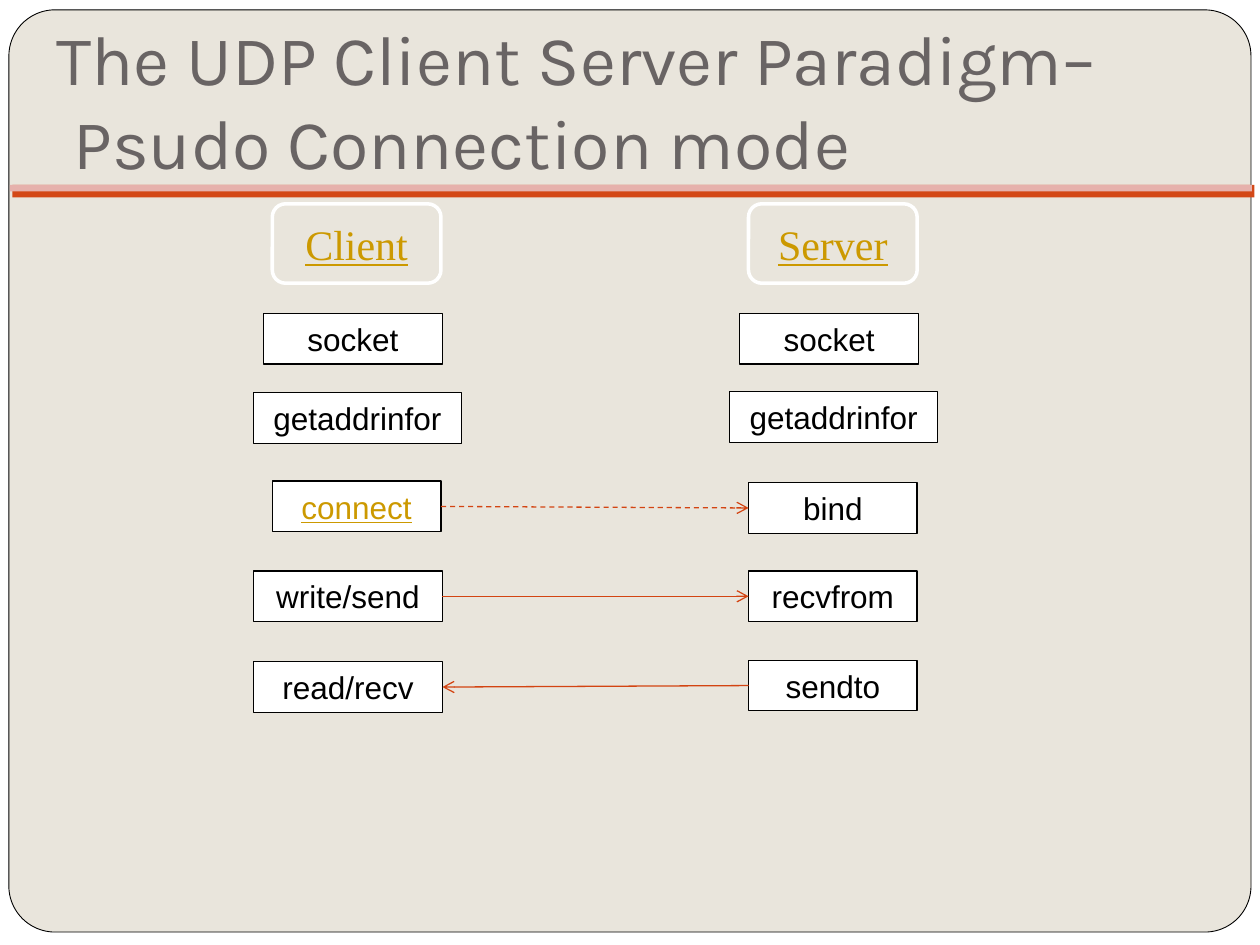
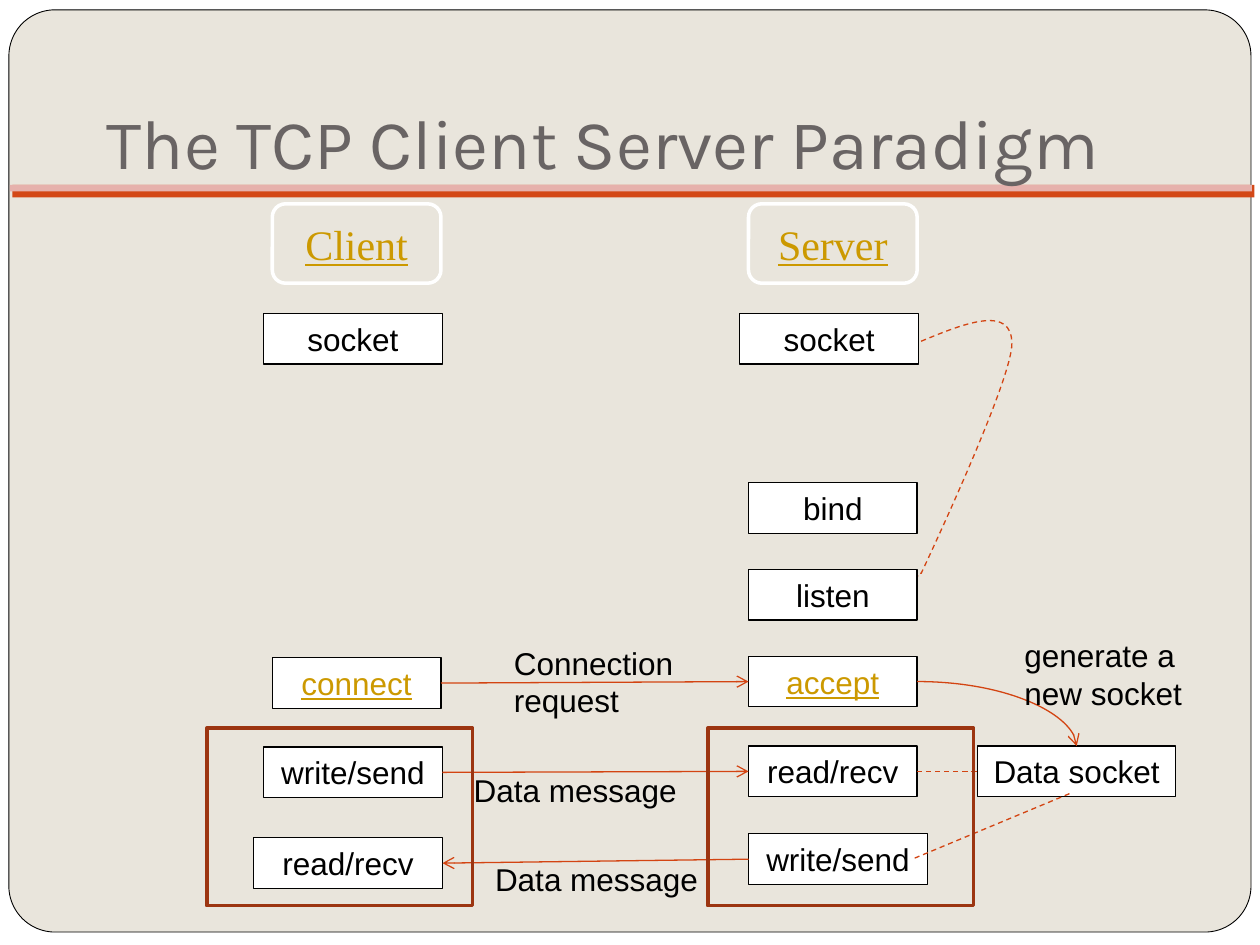
from pptx import Presentation
from pptx.dml.color import RGBColor
from pptx.enum.dml import MSO_LINE
from pptx.enum.shapes import MSO_CONNECTOR, MSO_SHAPE
from pptx.enum.text import MSO_ANCHOR, MSO_AUTO_SIZE, PP_ALIGN
from pptx.oxml.ns import qn
from pptx.oxml.xmlchemy import OxmlElement
from pptx.util import Cm, Pt

RECTANGLE, ROUNDED = MSO_SHAPE.RECTANGLE, MSO_SHAPE.ROUNDED_RECTANGLE
STRAIGHT, CURVED = MSO_CONNECTOR.STRAIGHT, MSO_CONNECTOR.CURVE
DASH = MSO_LINE.DASH
LEFT, CENTER = PP_ALIGN.LEFT, PP_ALIGN.CENTER
TOP_SITE, LEFT_SITE, RIGHT_SITE = 0, 1, 3

WHITE = RGBColor(0xFF, 0xFF, 0xFF)
BLACK = RGBColor(0, 0, 0)
SAND = RGBColor(0xE9, 0xE5, 0xDC)
ORANGE = RGBColor(0xD3, 0x48, 0x17)
PINK = RGBColor(0xE6, 0xB1, 0xAC)
ARROW = RGBColor(0xD3, 0x44, 0x12)
BROWN = RGBColor(0x9C, 0x35, 0x11)
GOLD = RGBColor(0xCC, 0x99, 0x00)
GREY = RGBColor(0x69, 0x64, 0x64)

# All lengths are centimetres; areas are (left, top, width, height).
WIDTH, HEIGHT = 25.4, 19.05
BOX_HEIGHT = 1.02
FRAME = [  # kind, area, fill, line
    (RECTANGLE, (0, 0, WIDTH, HEIGHT), WHITE, None),
    (ROUNDED, (0.18, 0.2, 25.04, 18.59), SAND, BLACK),
    (RECTANGLE, (0.25, 3.73, 25.04, 0.25), ORANGE, None),
    (RECTANGLE, (0.2, 3.73, 25.04, 0.13), PINK, None),
]
HEADERS = [("Client", 5.49), ("Server", 15.09)]

# Boxes: name -> (text, left, top, width)
# Arrows: (from, to, from site, to site, kind, dashed, arrowhead)
UDP = {
    "title": ("The UDP Client Server Paradigm–\v Psudo Connection mode",
              (0.89, 0.76, 23.39, 3.18)),
    "boxes": {
        "client socket": ("socket", 5.31, 6.32, 3.61),
        "server socket": ("socket", 14.91, 6.32, 3.61),
        "client address": ("getaddrinfor", 5.11, 7.92, 4.19),
        "server address": ("getaddrinfor", 14.71, 7.9, 4.19),
        "connect": ("connect", 5.49, 9.7, 3.4),
        "bind": ("bind", 15.09, 9.73, 3.4),
        "client send": ("write/send", 5.11, 11.51, 3.81),
        "server receive": ("recvfrom", 15.09, 11.51, 3.4),
        "client receive": ("read/recv", 5.11, 13.34, 3.81),
        "server send": ("sendto", 15.09, 13.31, 3.4),
    },
    "arrows": [
        ("client send", "server receive", RIGHT_SITE, LEFT_SITE, STRAIGHT, False, True),
        ("server send", "client receive", LEFT_SITE, RIGHT_SITE, STRAIGHT, False, True),
        ("connect", "bind", RIGHT_SITE, LEFT_SITE, STRAIGHT, True, True),
    ],
    "loops": [], "tethers": [], "labels": [], "groups": [],
}
TCP = {
    "title": ("The TCP Client Server Paradigm", (1.9, 0.76, 21.79, 3.18)),
    "boxes": {
        "client socket": ("socket", 5.31, 6.32, 3.61),
        "server socket": ("socket", 14.91, 6.32, 3.61),
        "bind": ("bind", 15.09, 9.73, 3.4),
        "listen": ("listen", 15.09, 11.48, 3.4),
        "connect": ("connect", 5.49, 13.26, 3.4),
        "accept": ("accept", 15.09, 13.23, 3.4),
        "client send": ("write/send", 5.31, 15.06, 3.61),
        "server receive": ("read/recv", 15.09, 15.04, 3.4),
        "client receive": ("read/recv", 5.11, 16.89, 3.81),
        "server send": ("write/send", 15.09, 16.81, 3.61),
        "data socket": ("Data socket", 19.71, 15.04, 3.99),
    },
    "arrows": [
        ("client send", "server receive", RIGHT_SITE, LEFT_SITE, STRAIGHT, False, True),
        ("server send", "client receive", LEFT_SITE, RIGHT_SITE, STRAIGHT, False, True),
        ("connect", "accept", RIGHT_SITE, LEFT_SITE, STRAIGHT, False, True),
        ("accept", "data socket", RIGHT_SITE, TOP_SITE, CURVED, False, True),
        ("server receive", "data socket", RIGHT_SITE, LEFT_SITE, STRAIGHT, True, False),
    ],
    "loops": [[  # start, then three points for each Bezier segment
        (18.57, 6.88),
        (19.48, 6.5), (20.4, 6.15), (20.4, 6.93),
        (20.4, 7.7), (18.57, 11.56), (18.57, 11.56),
        (18.54, 11.56), (18.54, 11.53), (18.52, 11.56),
        (18.49, 11.61), (18.47, 11.76), (18.44, 11.79),
        (18.42, 11.79), (18.36, 11.63), (18.36, 11.63),
    ]],
    "tethers": [[(18.44, 17.3), (21.56, 16)]],
    "labels": [
        ("Connection request", (10.11, 12.85, 4.01, 1.8)),
        ("Data message", (9.3, 15.42, 5, BOX_HEIGHT)),
        ("Data message", (9.73, 17.22, 5, BOX_HEIGHT)),
        ("generate a new socket", (20.4, 12.7, 3.99, 1.8)),
    ],
    "groups": [(4.17, 14.68, 5.36, 3.58), (14.27, 14.68, 5.36, 3.58)],
}
KEY_CALLS = {"connect", "accept"}


def lengths(area):
    """Turn centimetre numbers into lengths."""
    return [Cm(value) for value in area]


def add_block(slide, kind, area, fill=None, line=None, line_width=0.75):
    """Add a flat preset shape."""
    shape = slide.shapes.add_shape(kind, *lengths(area))
    shape.shadow.inherit = False
    if fill is None:
        shape.fill.background()
    else:
        shape.fill.solid()
        shape.fill.fore_color.rgb = fill
    if line is None:
        shape.line.fill.background()
    else:
        shape.line.color.rgb = line
        shape.line.width = Pt(line_width)
    return shape


def write(shape, text, size, font, color, alignment=CENTER, underline=None):
    """Fill a shape with text and format its runs."""
    frame = shape.text_frame
    frame.word_wrap = True
    frame.text = text
    for paragraph in frame.paragraphs:
        paragraph.alignment = alignment
        for run in paragraph.runs:
            run.font.size = Pt(size)
            run.font.name = font
            run.font.color.rgb = color
            run.font.underline = underline


def style_line(shape, dashed):
    """Give a connector or outline the thin arrow colour."""
    shape.line.color.rgb = ARROW
    shape.line.width = Pt(0.75)
    if dashed:
        shape.line.dash_style = DASH


def add_frame(slide, layout):
    """Build the frame and title band and move them onto the layout."""
    for index, (kind, area, fill, line) in enumerate(FRAME):
        shape = add_block(slide, kind, area, fill, line, 0.5)
        if kind == ROUNDED:
            shape.adjustments[0] = 0.05
        shape.element.nvSpPr.cNvPr.set("id", str(100 + index))
        layout.shapes.element.insert(2 + index, shape.element)


def add_title(slide, text, area):
    """Place and format the title placeholder."""
    title = slide.shapes.title
    title.left, title.top, title.width, title.height = lengths(area)
    write(title, text, 40, "Karla", GREY, LEFT)
    frame = title.text_frame
    frame.auto_size = MSO_AUTO_SIZE.NONE
    frame.vertical_anchor = MSO_ANCHOR.BOTTOM
    frame.margin_bottom = Cm(0.25)


def add_call(slide, text, left, top, width):
    """Add one box naming a socket call."""
    shape = add_block(slide, RECTANGLE, (left, top, width, BOX_HEIGHT), WHITE, BLACK)
    is_key = text in KEY_CALLS
    write(shape, text, 18, "Arial", GOLD if is_key else BLACK, underline=is_key or None)
    shape.text_frame.auto_size = MSO_AUTO_SIZE.SHAPE_TO_FIT_TEXT
    return shape


def add_arrow(slide, start, end, start_site, end_site, kind, dashed, arrowhead):
    """Connect two boxes at the given sides."""
    connector = slide.shapes.add_connector(kind, 0, 0, 0, 0)
    connector.begin_connect(start, start_site)
    connector.end_connect(end, end_site)
    style_line(connector, dashed)
    properties = connector.element.spPr
    if kind == CURVED:
        properties.find(qn("a:prstGeom")).set("prst", "curvedConnector2")
    if arrowhead:
        head = OxmlElement("a:tailEnd")
        head.set("type", "arrow")
        properties.find(qn("a:ln")).append(head)
    properties.append(OxmlElement("a:effectLst"))


def add_outline(slide, points, curved=False):
    """Add an open dashed outline, straight or made of Bezier segments."""
    start, *others = [lengths(point) for point in points]
    builder = slide.shapes.build_freeform(*start)
    builder.add_line_segments(others, close=False)
    shape = builder.convert_to_shape()
    shape.shadow.inherit = False
    shape.fill.background()
    style_line(shape, True)
    if curved:
        steps = list(shape.element.iter(qn("a:lnTo")))
        for first in range(0, len(steps), 3):
            curve = OxmlElement("a:cubicBezTo")
            steps[first].addprevious(curve)
            for step in steps[first:first + 3]:
                curve.append(step[0])
                step.getparent().remove(step)


def add_label(slide, text, area):
    """Add a free text label."""
    label = slide.shapes.add_textbox(*lengths(area))
    write(label, text, 18, "Arial", BLACK, LEFT)
    label.text_frame.auto_size = MSO_AUTO_SIZE.SHAPE_TO_FIT_TEXT


def add_diagram(slide, content):
    """Draw one client and server diagram."""
    add_title(slide, *content["title"])
    for text, left in HEADERS:
        header = add_block(slide, ROUNDED, (left, 4.11, 3.4, 1.6), line=WHITE, line_width=2)
        write(header, text, 24, "Times New Roman", GOLD, underline=True)
    for points in content["loops"]:
        add_outline(slide, points, curved=True)
    boxes = {name: add_call(slide, *box) for name, box in content["boxes"].items()}
    for start, end, *style in content["arrows"]:
        add_arrow(slide, boxes[start], boxes[end], *style)
    for points in content["tethers"]:
        add_outline(slide, points)
    for text, area in content["labels"]:
        add_label(slide, text, area)
    for area in content["groups"]:
        add_block(slide, RECTANGLE, area, line=BROWN, line_width=2)


def main():
    """Build and save the presentation."""
    presentation = Presentation()
    presentation.slide_width, presentation.slide_height = Cm(WIDTH), Cm(HEIGHT)
    background = presentation.slide_master.background.fill
    background.solid()
    background.fore_color.rgb = SAND
    layout = presentation.slide_layouts.get_by_name("Title Only")
    slides = [presentation.slides.add_slide(layout) for _ in range(2)]
    add_frame(slides[0], layout)
    for slide, content in zip(slides, (UDP, TCP)):
        add_diagram(slide, content)
    presentation.save("out.pptx")


main()
